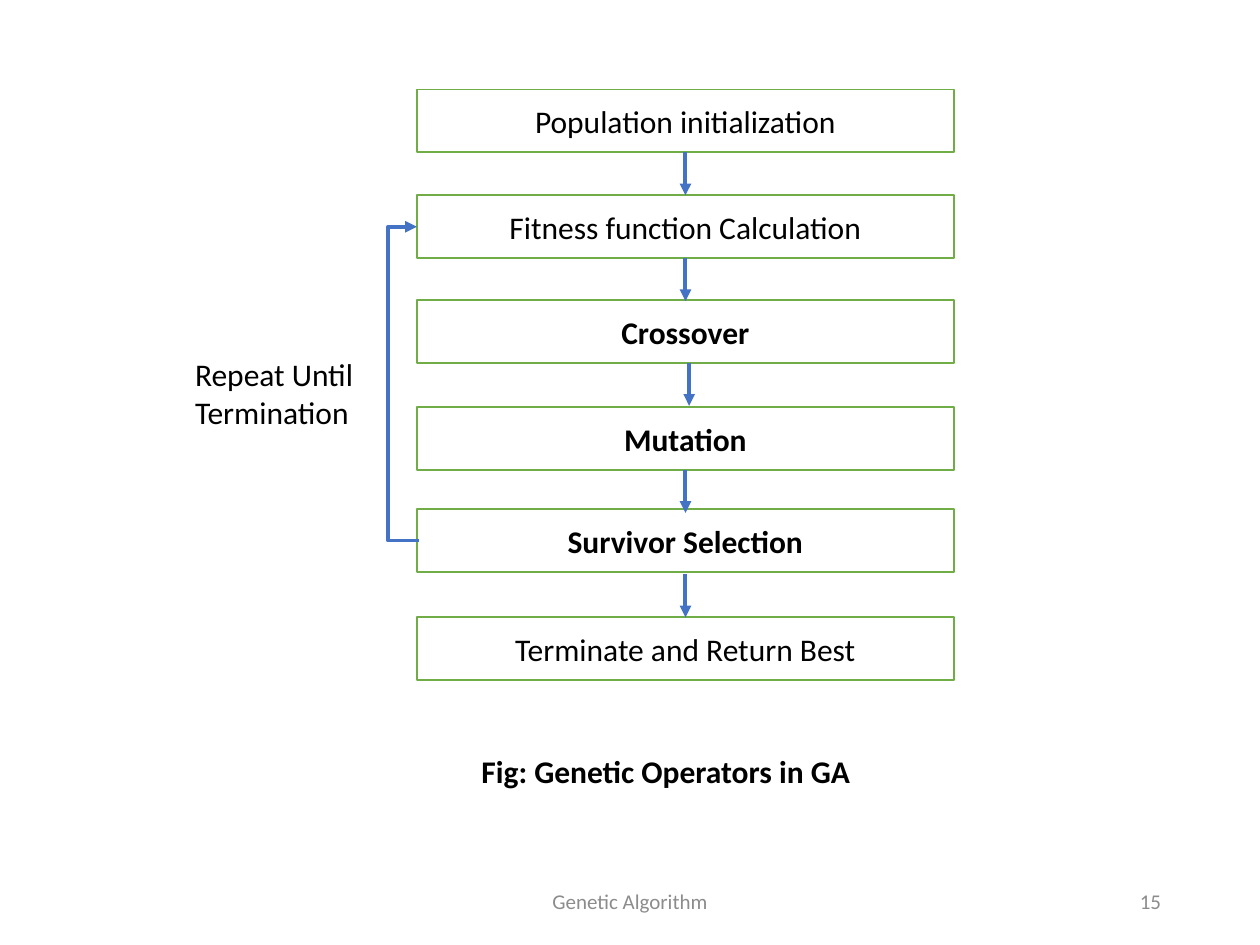
from lxml.etree import SubElement
from pptx import Presentation
from pptx.dml.color import RGBColor
from pptx.enum.shapes import MSO_CONNECTOR, MSO_SHAPE
from pptx.enum.text import MSO_ANCHOR, PP_ALIGN
from pptx.oxml.ns import qn
from pptx.util import Pt

BLACK = RGBColor(0x00, 0x00, 0x00)
WHITE = RGBColor(0xFF, 0xFF, 0xFF)
GRAY = RGBColor(0x8C, 0x8C, 0x8C)
GREEN = RGBColor(0x70, 0xAD, 0x47)
BLUE = RGBColor(0x44, 0x72, 0xC4)

STEPS = [
    ("Population initialization", 51.1, False),
    ("Fitness function Calculation", 111.6, False),
    ("Crossover", 171.4, True),
    ("Mutation", 232.6, True),
    ("Survivor Selection", 290.9, True),
    ("Terminate and Return Best", 352.8, False),
]
ARROWS = [(391.7, 87.1), (391.7, 147.6), (393.8, 207.4), (391.7, 268.6), (391.7, 328.3)]
ARROW_LENGTH = 24.5

LABELS = [
    ("Genetic Algorithm", (238.5, 500.5, 243, 28.75),
     dict(size=12, color=GRAY, align=PP_ALIGN.CENTER, anchor=MSO_ANCHOR.MIDDLE)),
    ("15", (508.5, 500.5, 162, 28.75),
     dict(size=12, color=GRAY, align=PP_ALIGN.RIGHT, anchor=MSO_ANCHOR.MIDDLE)),
    ("Repeat Until Termination", (104.4, 199.4, 133.9, 51.1), {}),
    ("Fig: Genetic Operators in GA", (154.1, 426.2, 452.9, 29.1),
     dict(bold=True, align=PP_ALIGN.CENTER)),
]

STEP_LEFT, STEP_WIDTH, STEP_HEIGHT = 238.3, 306.7, 36
LOOP_START_X, LOOP_X = 239.5, 221.8


def write(shape, text, size=18, color=BLACK, bold=False,
          align=PP_ALIGN.LEFT, anchor=MSO_ANCHOR.TOP):
    frame = shape.text_frame
    frame.word_wrap = True
    frame.vertical_anchor = anchor
    paragraph = frame.paragraphs[0]
    paragraph.alignment = align
    run = paragraph.add_run()
    run.text = text
    run.font.name = "Calibri"
    run.font.size = Pt(size)
    run.font.bold = bold
    run.font.color.rgb = color


def add_arrow(shapes, kind, *ends):
    arrow = shapes.add_connector(kind, *map(Pt, ends))
    arrow.line.color.rgb = BLUE
    arrow.line.width = Pt(2.25)
    SubElement(arrow.line._get_or_add_ln(), qn("a:tailEnd"), type="triangle")
    SubElement(arrow._element.spPr, qn("a:effectLst"))
    return arrow


def add_step(shapes, text, top, bold):
    step = shapes.add_shape(MSO_SHAPE.RECTANGLE, Pt(STEP_LEFT), Pt(top),
                            Pt(STEP_WIDTH), Pt(STEP_HEIGHT))
    step.shadow.inherit = False
    step.fill.solid()
    step.fill.fore_color.rgb = WHITE
    step.line.color.rgb = GREEN
    step.line.width = Pt(1)
    write(step, text, bold=bold, align=PP_ALIGN.CENTER, anchor=MSO_ANCHOR.MIDDLE)


def add_loop(shapes):
    middles = {text: top + STEP_HEIGHT / 2 for text, top, _ in STEPS}
    loop = add_arrow(shapes, MSO_CONNECTOR.ELBOW,
                     LOOP_START_X, middles["Survivor Selection"],
                     STEP_LEFT, middles["Fitness function Calculation"])
    bend = round((LOOP_START_X - LOOP_X) / (LOOP_START_X - STEP_LEFT) * 100000)
    guides = loop._element.spPr.find(qn("a:prstGeom")).get_or_add_avLst()
    SubElement(guides, qn("a:gd"), name="adj1", fmla=f"val {bend}")


def main():
    deck = Presentation()
    deck.slide_width, deck.slide_height = Pt(720), Pt(540)
    shapes = deck.slides.add_slide(deck.slide_layouts[6]).shapes
    for step in STEPS:
        add_step(shapes, *step)
    for x, top in ARROWS:
        add_arrow(shapes, MSO_CONNECTOR.STRAIGHT, x, top, x, top + ARROW_LENGTH)
    add_loop(shapes)
    for text, place, style in LABELS:
        write(shapes.add_textbox(*map(Pt, place)), text, **style)
    deck.save("out.pptx")


if __name__ == "__main__":
    main()
